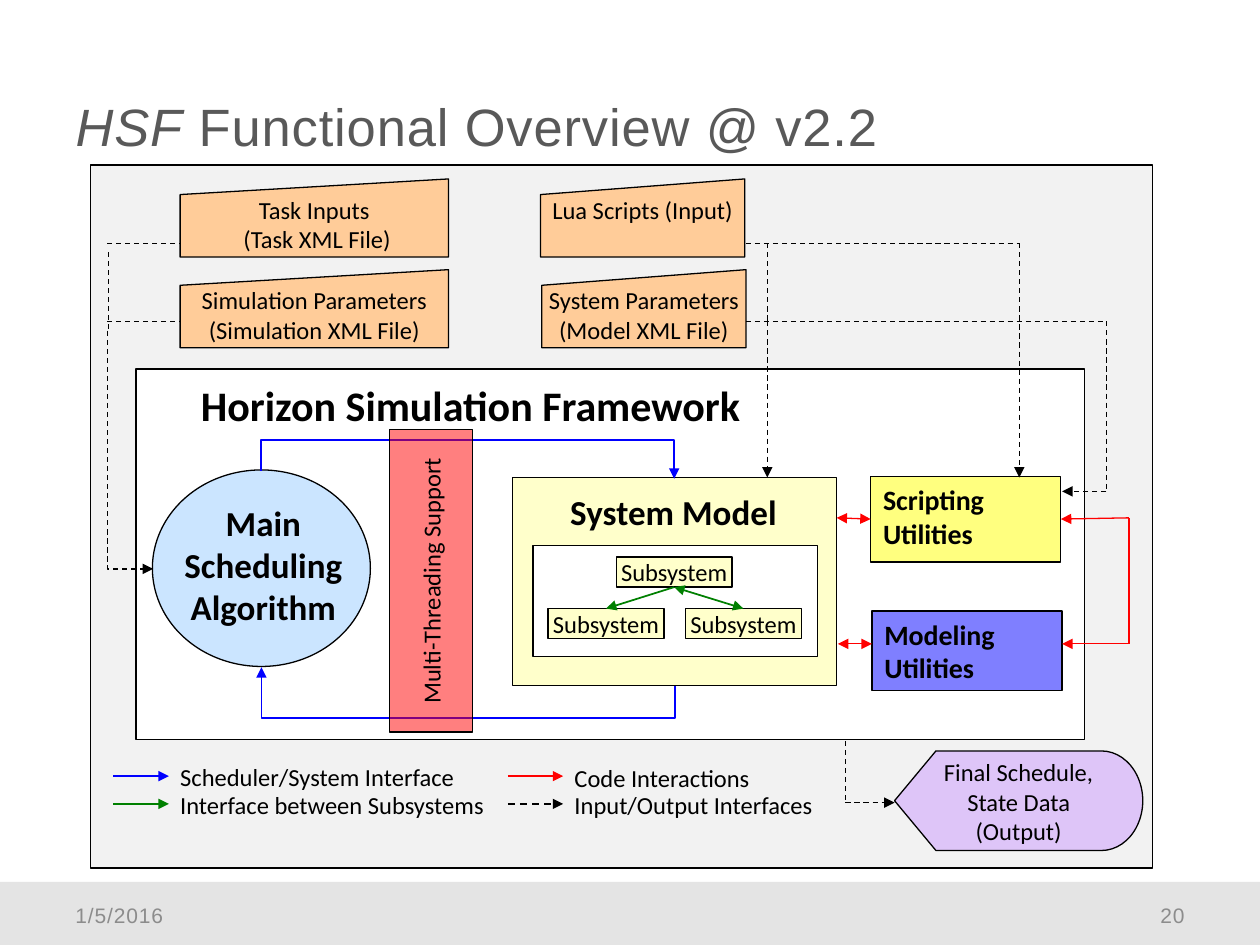
import lxml.etree
import pptx
import pptx.dml.color
import pptx.enum.dml
import pptx.enum.shapes
import pptx.enum.text
import pptx.oxml.ns
import pptx.util

Inches = pptx.util.Inches
Shape = pptx.enum.shapes.MSO_SHAPE
Link = pptx.enum.shapes.MSO_CONNECTOR
Align = pptx.enum.text.PP_ALIGN
Anchor = pptx.enum.text.MSO_ANCHOR

BLACK, BLUE, GREEN, RED = "000000", "0000FF", "008000", "FF0000"
GREY, CREAM, PEACH = "8C8C8C", "FFFF99", "FFCC99"
NONE = (0, 0, 0, 0)
INSET = (0.1, 0.05, 0.1, 0.05)


def add_tag(parent, tag, **attrs):
    name = pptx.oxml.ns.qn(tag)
    return lxml.etree.SubElement(parent, name, **attrs)


def paint(color, code):
    color.rgb = pptx.dml.color.RGBColor.from_string(code)


def write(frame, text, size=14, font="Calibri", color=BLACK, bold=False,
          ital=False, align=Align.LEFT, anchor=Anchor.TOP, inset=INSET,
          space=0, more=False):
    """Fill a text frame, one paragraph a line; more adds to the last one."""
    frame.word_wrap = True
    frame.vertical_anchor = anchor
    (frame.margin_left, frame.margin_top,
     frame.margin_right, frame.margin_bottom) = map(Inches, inset)
    for i, part in enumerate(text.split("\n")):
        para = frame.add_paragraph() if i else frame.paragraphs[-1]
        para.alignment = align
        run = para.add_run()
        run.text = part
        run.font.size = pptx.util.Pt(size)
        run.font.name = font
        run.font.bold = bold
        run.font.italic = ital
        paint(run.font.color, color)
        if space:
            run.font._element.set("spc", str(space))


def label(slide, at, text, **form):
    frame = slide.shapes.add_textbox(*map(Inches, at)).text_frame
    write(frame, text, **form)


def block(slide, at, fill, alpha=100, kind=Shape.RECTANGLE, edge=True,
          text="", **form):
    shape = slide.shapes.add_shape(kind, *map(Inches, at))
    shape.shadow.inherit = False
    shape.fill.solid()
    paint(shape.fill.fore_color, fill)
    if alpha < 100:
        code = shape._element.spPr.find(".//" + pptx.oxml.ns.qn("a:srgbClr"))
        add_tag(code, "a:alpha", val=str(alpha * 1000))
    if edge:
        paint(shape.line.color, BLACK)
        shape.line.width = pptx.util.Pt(0.75)
    else:
        shape.line.fill.background()
    if text:
        write(shape.text_frame, text, **form)
    return shape


def style(link, color, width, dash, head, tail):
    paint(link.line.color, color)
    link.line.width = pptx.util.Pt(width)
    if dash:
        link.line.dash_style = pptx.enum.dml.MSO_LINE.DASH
    props = link._element.spPr
    line = props.find(pptx.oxml.ns.qn("a:ln"))
    if head:
        add_tag(line, "a:headEnd", type="triangle")
    if tail:
        add_tag(line, "a:tailEnd", type="triangle")
    add_tag(props, "a:effectLst")


def wire(slide, *points, color=BLACK, width=0.75, dash=False, head=False,
         tail=True, start=None, end=None):
    """Join points by straight lines; start and end are (shape, side)."""
    last = len(points) - 2
    for i, (a, b) in enumerate(zip(points, points[1:])):
        link = slide.shapes.add_connector(Link.STRAIGHT, *map(Inches, a + b))
        if start and i == 0:
            link.begin_connect(*start)
        if end and i == last:
            link.end_connect(*end)
        style(link, color, width, dash, head and i == 0, tail and i == last)


def elbow(slide, at, turn, color, width, dash=False, bend=None):
    """Add a mirrored, turned elbow; without a bend it has one corner."""
    x, y, w, h = at
    link = slide.shapes.add_connector(
        Link.ELBOW, *map(Inches, (x + w, y, x, y + h)))
    props = link._element.spPr
    props.find(pptx.oxml.ns.qn("a:xfrm")).set("rot", str(turn * 60000))
    geom = props.find(pptx.oxml.ns.qn("a:prstGeom"))
    if bend is None:
        geom.set("prst", "bentConnector2")
    else:
        guides = geom.find(pptx.oxml.ns.qn("a:avLst"))
        add_tag(guides, "a:gd", name="adj1", fmla=f"val {round(bend * 100000)}")
    style(link, color, width, dash, False, True)


def add_frame(slide):
    block(slide, (0, 7, 10, 0.5), "E4E4E4", edge=False)
    title = slide.shapes.title
    title.left, title.top, title.width, title.height = map(
        Inches, (0.5, 0.32, 9, 1.25))
    form = dict(size=30, font="Arial", color="595959", space=50,
                anchor=Anchor.MIDDLE)
    write(title.text_frame, "HSF", ital=True, **form)
    write(title.text_frame, " Functional Overview @ v2.2", more=True, **form)
    title.text_frame.paragraphs[0].line_spacing = 1.2
    foot = dict(size=12, font="Arial", color=GREY, space=50,
                anchor=Anchor.MIDDLE)
    label(slide, (0.5, 7.06, 2.33, 0.4), "1/5/2016", **foot)
    label(slide, (7.17, 7.06, 2.33, 0.4), "20", align=Align.RIGHT, **foot)


def add_files(slide):
    files = [
        (1.43, 1.42, 2.13, "Task Inputs\n (Task XML File)"),
        (4.29, 1.42, 1.62, "Lua Scripts (Input)"),
        (1.43, 2.14, 2.13, "Simulation Parameters (Simulation XML File)"),
        (4.3, 2.14, 1.62, "System Parameters (Model XML File)"),
    ]
    for x, y, w, text in files:
        block(slide, (x, y, w, 0.62), PEACH, kind=Shape.FLOWCHART_MANUAL_INPUT,
              text=text, align=Align.CENTER, inset=NONE)
    block(slide, (7.1, 5.96, 1.97, 0.79), "CC99FF", 50,
          kind=Shape.FLOWCHART_DISPLAY, align=Align.CENTER,
          text="Final Schedule, State Data (Output)", inset=(0, 0.05, 0, 0))


def add_model(slide):
    block(slide, (4.07, 3.79, 2.57, 1.65), CREAM, 50)
    label(slide, (4.2, 3.89, 2.29, 0.32), "System Model", size=20, bold=True,
          align=Align.CENTER, inset=NONE)
    block(slide, (4.23, 4.33, 2.26, 0.88), "FFFFFF")
    top, left, right = [
        block(slide, (x, y, 0.92, 0.24), CREAM, 50, text="Subsystem",
              align=Align.CENTER, inset=NONE)
        for x, y in ((4.89, 4.42), (4.35, 4.83), (5.44, 4.83))]
    for part, x in ((left, 4.81), (right, 5.9)):
        wire(slide, (5.35, 4.66), (x, 4.83), color=GREEN, width=1,
             head=part is right, start=(top, 2), end=(part, 0))


def add_tools(slide):
    form = dict(size=16, bold=True)
    script = block(slide, (6.91, 3.78, 1.51, 0.68), "FFFF00", 50,
                   text="Scripting Utilities", **form)
    block(slide, (6.92, 4.85, 1.51, 0.63), BLUE, 50,
          text="Modeling Utilities", **form)
    wire(slide, (6.64, 4.11), (6.91, 4.11), color=RED, head=True,
         end=(script, 1))
    wire(slide, (6.65, 5.11), (6.92, 5.11), color=RED, head=True)
    wire(slide, (8.96, 5.11), (8.96, 4.11), (8.43, 4.11), color=RED,
         end=(script, 3))
    wire(slide, (8.96, 5.11), (8.43, 5.11), color=RED)


def add_flows(slide):
    elbow(slide, (3.68, 2.13, 0.06, 3.28), 270, BLUE, 1, bend=-4.19)
    elbow(slide, (3.64, 3.73, 0.15, 3.28), 90, BLUE, 1, bend=-1.69)
    elbow(slide, (0.09, 3.39, 1.89, 0.36), 270, BLACK, 0.75, dash=True)
    for y in (1.93, 2.55):
        wire(slide, (0.85, y), (1.43, y), dash=True, tail=False)
    wire(slide, (0.86, 2), (0.86, 2.62), dash=True, tail=False)
    wire(slide, (5.92, 1.93), (8.09, 1.93), (8.09, 3.79), dash=True)
    wire(slide, (6.09, 1.93), (6.09, 2.55), (6.09, 3.79), dash=True)
    wire(slide, (5.92, 2.55), (8.78, 2.55), (8.78, 3.9), (8.43, 3.9),
         dash=True)
    wire(slide, (6.71, 5.88), (6.71, 6.37), (7.1, 6.37), dash=True)


def add_key(slide):
    rows = [
        (0.9, 6.16, 6.05, "Scheduler/System Interface", BLUE),
        (0.9, 6.38, 6.27, "Interface between Subsystems", GREEN),
        (4.03, 6.16, 6.06, "Code Interactions", RED),
        (4.03, 6.38, 6.27, "Input/Output Interfaces", BLACK),
    ]
    for x, y, top, text, color in rows:
        wire(slide, (x, y), (x + 0.44, y), color=color, width=1,
             dash=color == BLACK)
        label(slide, (x + 0.53, top, 2.53, 0.23), text, inset=NONE)


def main():
    deck = pptx.Presentation()
    deck.slide_width, deck.slide_height = Inches(10), Inches(7.5)
    slide = deck.slides.add_slide(deck.slide_layouts[5])
    add_frame(slide)
    block(slide, (0.72, 1.31, 8.43, 5.58), "C0C0C0", 20)
    block(slide, (1.08, 2.93, 7.53, 2.94), "FFFFFF")
    label(slide, (1.26, 2.96, 4.95, 0.42), "Horizon Simulation Framework",
          size=24, bold=True, align=Align.CENTER)
    block(slide, (1.21, 3.73, 1.73, 1.56), "99CCFF", 50,
          kind=Shape.FLOWCHART_CONNECTOR)
    label(slide, (1.29, 3.93, 1.6, 1.11), "Main Scheduling Algorithm",
          size=20, bold=True, align=Align.CENTER)
    add_files(slide)
    add_model(slide)
    add_tools(slide)
    add_flows(slide)
    add_key(slide)
    thread = block(slide, (3.09, 3.41, 0.66, 2.4), RED, 50,
                   text="Multi-Threading Support", align=Align.CENTER,
                   anchor=Anchor.MIDDLE)
    thread.text_frame._txBody.bodyPr.set("vert", "vert270")
    deck.save("out.pptx")


if __name__ == "__main__":
    main()
